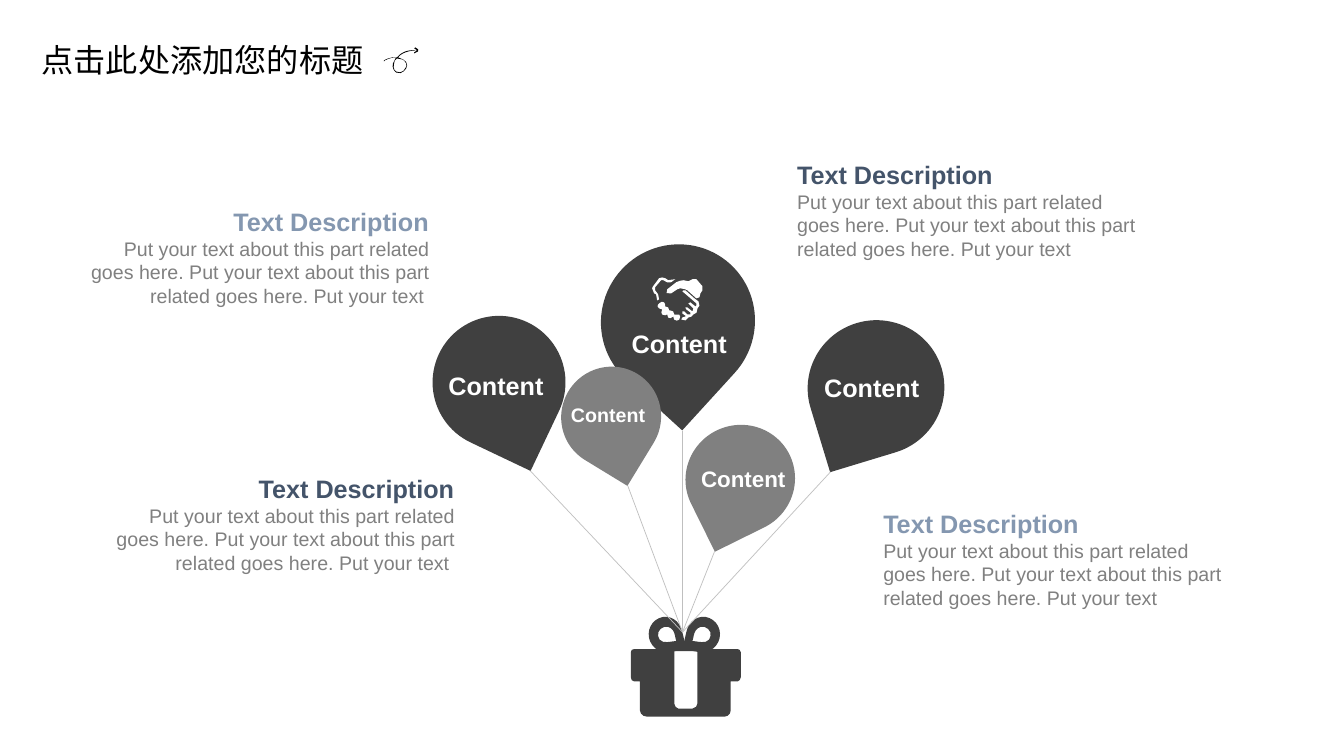
from dataclasses import dataclass

import math

import lxml.etree
import pptx
import pptx.dml.color
import pptx.enum.shapes
import pptx.enum.text
import pptx.oxml.ns
import pptx.util

Cm, Pt = pptx.util.Cm, pptx.util.Pt
SHAPE = pptx.enum.shapes.MSO_SHAPE
ALIGN = pptx.enum.text.PP_ALIGN
FIT = pptx.enum.text.MSO_AUTO_SIZE

FONT = "Arial"
DARK, GREY, LINE, WHITE = "404040", "808080", "BFBFBF", "FFFFFF"
BLUE, NAVY = "8497B0", "44546A"
BODY = ("Put your text about this part related goes here. Put your text "
        "about this part related goes here. Put your text")
KNOT = (17.2, 15.93)
GRID = Cm(2.54) / 100  # outline points are hundredths of an inch
STEP = 4  # longest piece of a flattened curve, on that grid


@dataclass
class Balloon:
    left: float
    top: float
    width: float
    height: float
    angle: float
    colour: str
    label_at: tuple[float, float]
    label_width: float
    size: int
    tip: tuple[float, float]


@dataclass
class Description:
    left: float
    top: float
    colour: str
    right_aligned: bool


BALLOONS = [
    Balloon(20.35, 8.07, 3.45, 3.4, 163.1, DARK, (20.52, 9.25), 3.1, 18, (20.93, 11.89)),
    Balloon(17.27, 10.71, 2.77, 2.72, 153.7, GREY, (17.42, 11.59), 3.1, 16, (18.01, 13.89)),
    Balloon(15.13, 6.17, 3.91, 3.86, 132.4, DARK, (15.67, 8.15), 3.1, 18, (17.2, 10.85)),
    Balloon(14.13, 9.25, 2.54, 2.51, 121.4, GREY, (14.14, 10.03), 2.59, 14, (15.82, 12.24)),
    Balloon(10.9, 7.96, 3.35, 3.35, 115.4, DARK, (11.05, 9.2), 3.1, 18, (13.36, 11.86)),
]
DESCRIPTIONS = [
    Description(1.68, 5.84, BLUE, True),
    Description(2.32, 12.57, NAVY, True),
    Description(22.01, 13.45, BLUE, False),
    Description(19.84, 4.65, NAVY, False),
]

# Outlines: a start point, then lines (2 numbers) or Bézier curves (6 numbers)
BACK_HAND = [
    "680 288, 689 296, 693 299, 694 302 695 305 692 306, 692 309 691 312 688 312,"
    "687 314 685 315 683 315, 682 318 679 319 676 317, 677 315, 680 314, 680 313, 677 311,"
    "677 309, 679 309, 682 312, 685 312, 685 310, 681 307, 680 305, 682 305, 687 309,"
    "688 310 691 308 688 306, 684 302, 683 301, 685 300, 690 304, 691 303, 691 301,"
    "677 289, 678 288",
    "652 298, 651 292, 649 291, 647 286, 648 284, 654 276,"
    "656 275 658 275 660 276, 663 278, 670 277, 666 280, 663 281 661 280 660 279,"
    "658 278, 656 278, 650 285, 650 288, 653 292, 654 297",
]
FRONT_HAND = [
    "674 312, 672 311 671 311 670 312, 669 312, 670 311 669 309 668 309, 665 308,"
    "664 308, 663 305, 660 304, 660 303 660 301 659 300,"
    "658 299 655 299 654 301, 653 302, 652 303 652 305 654 306, 657 307,"
    "656 309 656 311 657 312, 659 313 661 313 662 312, 663 315,"
    "664 316 666 316 668 314, 669 317, 670 319 673 318 674 317,"
    "675 315 675 313 674 312",
    "682 288, 691 296, 694 295, 695 291, 697 288, 698 287 698 285 697 284,"
    "691 277, 690 276 688 276 687 277, 683 279, 678 278,"
    "676 278 673 279 671 280, 662 287, 659 290 662 293 666 291, 672 287, 675 286,"
    "680 287",
]
GIFT_BOX = [
    "629 644, 669 644, 669 698, 669 700 671 703 673 703, 687 703, 690 703 692 700 692 698,"
    "692 644, 732 644, 733 644 735 645 735 647, 735 672, 735 674 733 676 732 676, 725 676,"
    "725 705, 725 708 722 711 719 711, 642 711, 638 711 635 708 635 705, 635 676, 629 676,"
    "627 676 626 674 626 672, 626 647, 626 645 627 644 629 644",
]
BOW_LOOP = [
    "663 622, 662 622 661 622 659 622, 655 623 652 627 653 631, 653 635 658 638 662 637,"
    "665 637 668 636 671 636, 670 633 670 631 669 628, 668 625 666 623 663 622",
    "658 612, 667 611 675 617 677 627, 681 644, 664 647, 655 649 646 642 644 633,"
    "642 623 648 614 658 612",
]
BOW_AXIS = 679
CURLY_ARROW = [
    "392 71, 393 72, 398 74 401 71 403 68, 405 65 404 61 400 59, 395 57,"
    "398 53 405 50 414 50, 411 52, 411 53, 415 51, 415 49, 412 47,"
    "411 48, 414 50, 404 49 398 52 394 57, 387 56 381 60 381 60, 381 61,"
    "381 60 387 57 393 57, 392 59 391 61 390 63, 389 66 390 69 392 71",
    "401 60, 404 63 404 66 402 68, 401 71 397 73 393 71, 391 70 390 67 391 63,"
    "391 61 392 59 394 58, 399 59, 401 60",
]


def rgb(colour: str) -> pptx.dml.color.RGBColor:
    return pptx.dml.color.RGBColor.from_string(colour)


def paint(sp, colour: str) -> None:
    sp.shadow.inherit = False
    sp.fill.solid()
    sp.fill.fore_color.rgb = rgb(colour)
    sp.line.fill.background()


def write(sp, text: str, size: int, colour: str, bold: bool = False, align=ALIGN.LEFT):
    tf = sp.text_frame
    tf.text = text
    p = tf.paragraphs[0]
    p.alignment = align
    font = p.runs[0].font
    font.name, font.size, font.bold = FONT, Pt(size), bold
    font.color.rgb = rgb(colour)
    return tf


def add_text(s, left: float, top: float, width: float, height: float, *style):
    sp = s.shapes.add_textbox(Cm(left), Cm(top), Cm(width), Cm(height))
    tf = write(sp, *style)
    tf.word_wrap = True
    tf.auto_size = FIT.SHAPE_TO_FIT_TEXT
    return tf


def trace(contour: str, mirrored: bool) -> list[tuple[float, float]]:
    points = []
    for segment in contour.split(","):
        n = [int(v) for v in segment.split()]
        ends = list(zip(n[::2], n[1::2]))
        if len(ends) == 1:
            points += ends
            continue
        a, (b, c, d) = points[-1], ends
        steps = math.ceil(math.dist(a, d) / STEP)
        for i in range(1, steps + 1):
            t = i / steps
            u = 1 - t
            points.append(tuple(u**3 * a[k] + 3 * u * u * t * b[k] + 3 * u * t * t * c[k] + t**3 * d[k]
                                for k in (0, 1)))
    return [((2 * BOW_AXIS - x if mirrored else x) * GRID, y * GRID) for x, y in points]


def add_outline(s, contours: list[str], colour: str, mirrored: bool = False) -> None:
    first, *rest = [trace(c, mirrored) for c in contours]
    builder = s.shapes.build_freeform(*first[0])
    builder.add_line_segments(first[1:], close=True)
    for points in rest:
        builder.move_to(*points[0])
        builder.add_line_segments(points[1:], close=True)
    paint(builder.convert_to_shape(), colour)


def add_balloon(s, b: Balloon) -> None:
    sp = s.shapes.add_shape(SHAPE.TEAR, Cm(b.left), Cm(b.top), Cm(b.width), Cm(b.height))
    sp.rotation = b.angle
    paint(sp, b.colour)
    add_text(s, *b.label_at, b.label_width, 1.02, "Content", b.size, WHITE, True)


def add_string(s, tip: tuple[float, float]) -> None:
    line = s.shapes.add_connector(pptx.enum.shapes.MSO_CONNECTOR.STRAIGHT,
                                  *(Cm(v) for v in tip + KNOT))
    line.line.color.rgb = rgb(LINE)
    line.line.width = Pt(0.5)
    lxml.etree.SubElement(line._element.spPr, pptx.oxml.ns.qn("a:effectLst"))


def add_description(s, d: Description) -> None:
    align, indent, tail = (ALIGN.RIGHT, 3.95, " ") if d.right_aligned else (ALIGN.LEFT, 0, "")
    tf = add_text(s, d.left, d.top, 9.4, 2.06, BODY + tail, 14, GREY, False, align)
    tf.paragraphs[0].space_after = Pt(6)
    add_text(s, d.left + indent, d.top - 0.77, 5.59, 1.02, "Text Description", 18, d.colour, True)


def main() -> None:
    prs = pptx.Presentation()
    prs.slide_width, prs.slide_height = Cm(33.87), Cm(19.05)
    s = prs.slides.add_slide(prs.slide_layouts[5])

    # Title
    title = s.shapes.title
    title.left, title.top, title.width, title.height = Cm(0.79), Cm(0.89), Cm(8.71), Cm(1.24)
    tf = write(title, "点击此处添加您的标题", 23, "000000")
    tf.word_wrap = False
    tf.auto_size = FIT.NONE
    tf.vertical_anchor = pptx.enum.text.MSO_ANCHOR.MIDDLE
    add_outline(s, CURLY_ARROW, "000000")

    # Descriptions and balloons
    for d in DESCRIPTIONS:
        add_description(s, d)
    for b in BALLOONS:
        add_balloon(s, b)
    for hand in (BACK_HAND, FRONT_HAND):
        add_outline(s, hand, WHITE)

    # Gift with its strings
    add_outline(s, GIFT_BOX, DARK)
    for mirrored in (False, True):
        add_outline(s, BOW_LOOP, DARK, mirrored)
    band = s.shapes.add_shape(SHAPE.ROUNDED_RECTANGLE, Cm(16.64), Cm(16.23), Cm(1.12), Cm(0.18))
    paint(band, DARK)
    for b in BALLOONS:
        add_string(s, b.tip)

    prs.save("out.pptx")


if __name__ == "__main__":
    main()
